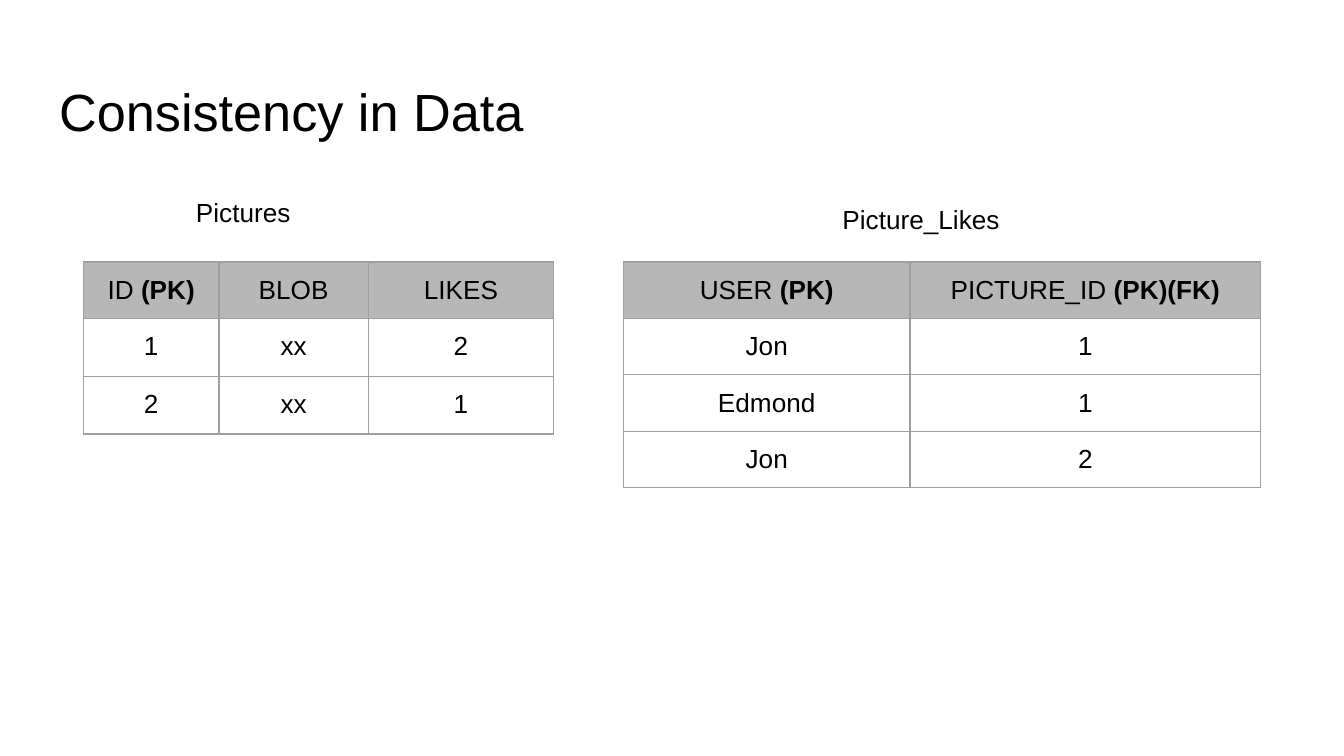
from pptx import Presentation
from pptx.dml.color import RGBColor
from pptx.enum.text import MSO_ANCHOR as Anchor, MSO_AUTO_SIZE as AutoSize, PP_ALIGN as Align
from pptx.oxml import parse_xml
from pptx.oxml.ns import nsdecls
from pptx.util import Inches, Pt

WIDTH = 10
HEIGHT = WIDTH * 9 / 16
FONT = "Arial"
COLORS = {"text": "000000", "header": "B7B7B7", "border": "9E9E9E"}
BORDER_POINTS = 0.75
TABLE_TOP = 1.95
CELL_FORMAT = {
    "vertical_anchor": Anchor.TOP,
    "margin_left": Inches(0.1),
    "margin_right": Inches(0.1),
    "margin_top": Inches(0.1),
    "margin_bottom": Inches(0.1),
}
FRAME_FORMAT = CELL_FORMAT | {"word_wrap": True, "auto_size": AutoSize.NONE}

TABLES = [
    {
        "left": 0.62,
        "columns": [1.01, 1.11, 1.38],
        "rows": [0.42, 0.43, 0.43],
        "cells": [
            [("ID ", "(PK)"), ("BLOB",), ("LIKES",)],
            [("1",), ("xx",), ("2",)],
            [("2",), ("xx",), ("1",)],
        ],
    },
    {
        "left": 4.64,
        "columns": [2.13, 2.61],
        "rows": [0.42] * 4,
        "cells": [
            [("USER ", "(PK)"), ("PICTURE_ID ", "(PK)(FK)")],
            [("Jon",), ("1",)],
            [("Edmond",), ("1",)],
            [("Jon",), ("2",)],
        ],
    },
]
LABELS = [
    ("Pictures", (1.36, 1.36, 2.06, 0.25)),
    ("Picture_Likes", (6.17, 1.41, 2.06, 0.37)),
]


def apply_format(target, values):
    for name, value in values.items():
        setattr(target, name, value)


def write(para, parts, size, align):
    para.alignment = align
    for index, text in enumerate(parts):
        span = para.add_run()
        span.text = text
        apply_format(span.font, {"name": FONT, "size": Pt(size), "bold": index > 0})
        span.font.color.rgb = RGBColor.from_string(COLORS["text"])


def add_title(page, text):
    box = page.shapes.title
    sides = {"left": 0.34, "top": 0.49, "width": 9.32, "height": 0.63}
    apply_format(box, {name: Inches(value) for name, value in sides.items()})
    apply_format(box.text_frame, FRAME_FORMAT)
    write(box.text_frame.paragraphs[0], [text], 28, Align.LEFT)


def add_label(page, text, place):
    box = page.shapes.add_textbox(*map(Inches, place))
    apply_format(box.text_frame, FRAME_FORMAT)
    write(box.text_frame.paragraphs[0], [text], 14, Align.LEFT)


def add_borders(cell):
    properties = cell._tc.get_or_add_tcPr()
    for index, side in enumerate(("lnL", "lnR", "lnT", "lnB")):
        line = parse_xml(
            f'<a:{side} {nsdecls("a")} w="{int(Pt(BORDER_POINTS))}"><a:solidFill>'
            f'<a:srgbClr val="{COLORS["border"]}"/></a:solidFill></a:{side}>'
        )
        properties.insert(index, line)


def fill_cell(cell, parts, is_header):
    apply_format(cell, CELL_FORMAT)
    write(cell.text_frame.paragraphs[0], parts, 14, Align.CENTER)
    if is_header:
        cell.fill.solid()
        cell.fill.fore_color.rgb = RGBColor.from_string(COLORS["header"])
    else:
        cell.fill.background()
    add_borders(cell)


def add_grid(page, left, columns, rows, cells):
    place = (left, TABLE_TOP, sum(columns), sum(rows))
    table = page.shapes.add_table(len(rows), len(columns), *map(Inches, place)).table
    apply_format(table, {"first_row": False, "horz_banding": False})
    for column, width in zip(table.columns, columns):
        column.width = Inches(width)
    for row, height, contents in zip(table.rows, rows, cells):
        row.height = Inches(height)
        for cell, parts in zip(row.cells, contents):
            fill_cell(cell, parts, contents is cells[0])


def main():
    deck = Presentation()
    apply_format(deck, {"slide_width": Inches(WIDTH), "slide_height": Inches(HEIGHT)})
    page = deck.slides.add_slide(deck.slide_layouts[5])
    add_title(page, "Consistency in Data")
    for table in TABLES:
        add_grid(page, **table)
    for text, place in LABELS:
        add_label(page, text, place)
    deck.save("out.pptx")


if __name__ == "__main__":
    main()
